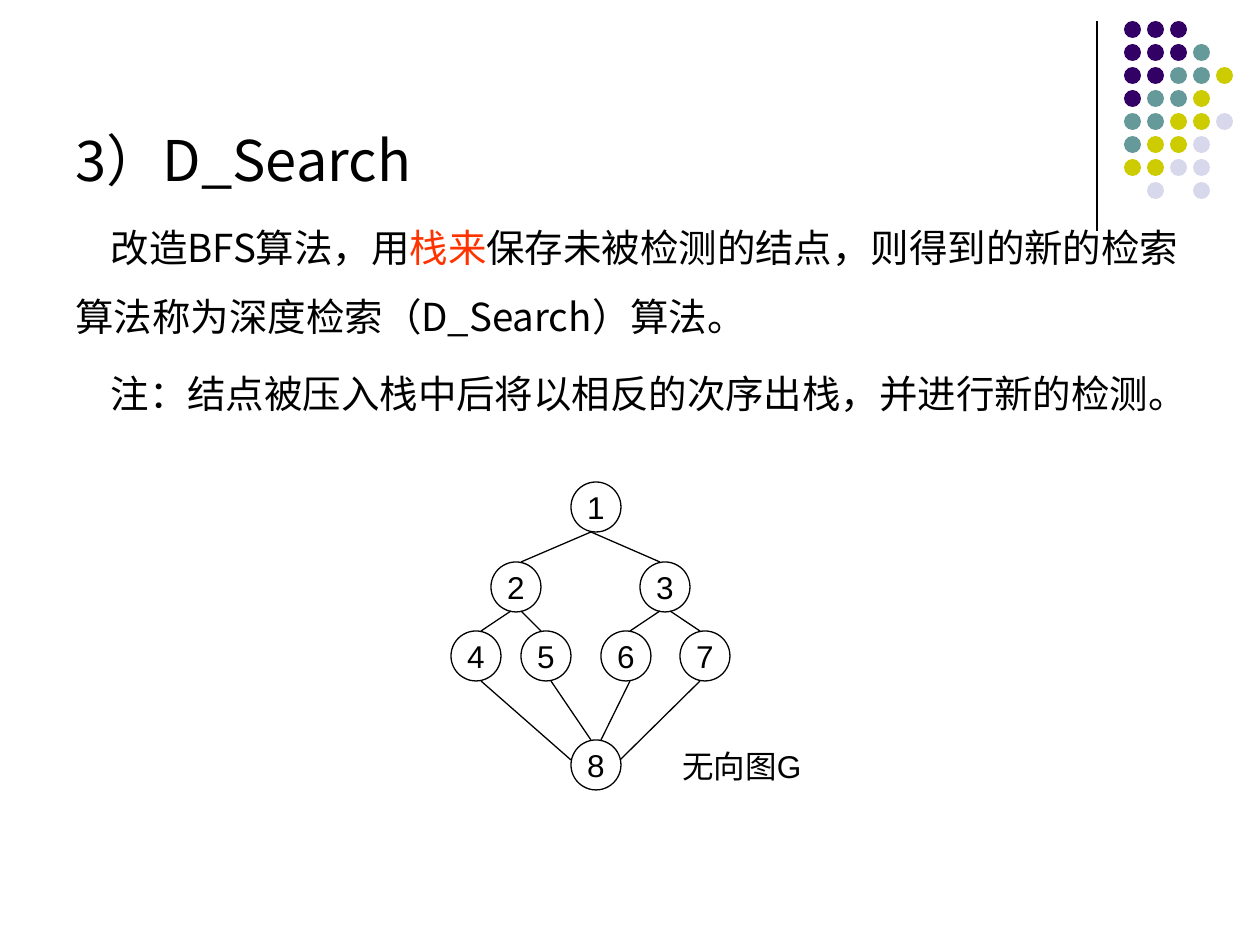
from pptx import Presentation
from pptx.dml.color import RGBColor
from pptx.enum.shapes import MSO_CONNECTOR, MSO_SHAPE
from pptx.enum.text import MSO_ANCHOR, MSO_AUTO_SIZE, PP_ALIGN
from pptx.oxml.ns import qn
from pptx.util import Emu, Pt
from lxml.etree import SubElement

COLORS = {
    "ink": "000000",
    "accent": "FF3300",
    "P": "330066",
    "T": "669999",
    "Y": "CCCC00",
    "L": "D8D8EC",
}
CJK_FONT = "Noto Sans CJK SC"
LATIN_FONT = "Arial"

DOT_ROWS = ["PPP", "PPPT", "PPTTY", "PTTY", "TTYYL", "TYYL", "YYLL", " L L"]
DOT_LEFT, DOT_TOP, DOT_PITCH, DOT_SIZE = 1124, 21, 23, 17

NODE_SIZE = 50
NODES = {
    "1": (571, 482),
    "2": (491, 562),
    "3": (640, 562),
    "4": (451, 631),
    "5": (521, 631),
    "6": (601, 631),
    "7": (680, 631),
    "8": (571, 740),
}
EDGES = [
    ((591, 532), (521, 562)),
    ((591, 532), (660, 562)),
    ((511, 611), (481, 631)),
    ((521, 611), (541, 631)),
    ((660, 611), (630, 631)),
    ((670, 611), (700, 631)),
    ((481, 681), (571, 760)),
    ((551, 681), (591, 740)),
    ((630, 681), (601, 740)),
    ((700, 681), (620, 760)),
]
BODY = [
    (32, 0, [("3）D_Search", "ink")]),
    (22, 35, [
        ("改造BFS算法，用", "ink"),
        ("栈来", "accent"),
        ("保存未被检测的结点，则得到的新的检索算法称为深度检索（D_Search）算法。", "ink"),
    ]),
    (22, 35, [("注：结点被压入栈中后将以相反的次序出栈，并进行新的检测。", "ink")]),
]


def px(length):
    return Emu(round(length * 914400 / 126))


def color(name):
    return RGBColor.from_string(COLORS[name])


class Painter:
    line_width = Pt(0.75)

    def __init__(self, page):
        self.page = page

    def span(self, para, text, size, font, tint="ink"):
        span = para.add_run()
        span.text = text
        span.font.size = Pt(size)
        span.font.name = font
        span.font.color.rgb = color(tint)
        east_asian = SubElement(span.font._element, qn("a:ea"))
        east_asian.set("typeface", CJK_FONT)
        span.font._element.find(qn("a:latin")).addnext(east_asian)

    def ellipse(self, left, top, size):
        shape = self.page.shapes.add_shape(
            MSO_SHAPE.OVAL, px(left), px(top), px(size), px(size))
        shape.shadow.inherit = False
        return shape

    def dot(self, left, top, tint):
        dot = self.ellipse(left, top, DOT_SIZE)
        dot.fill.solid()
        dot.fill.fore_color.rgb = color(tint)
        dot.line.fill.background()

    def node(self, left, top, text):
        node = self.ellipse(left, top, NODE_SIZE)
        node.fill.background()
        node.line.color.rgb = color("ink")
        node.line.width = self.line_width
        frame = node.text_frame
        frame.word_wrap = False
        frame.vertical_anchor = MSO_ANCHOR.MIDDLE
        para = frame.paragraphs[0]
        para.alignment = PP_ALIGN.CENTER
        self.span(para, text, 18, LATIN_FONT)

    def line(self, start, end):
        line = self.page.shapes.add_connector(
            MSO_CONNECTOR.STRAIGHT, *map(px, start + end))
        line.line.color.rgb = color("ink")
        line.line.width = self.line_width
        SubElement(line.element.spPr, qn("a:effectLst"))

    def label(self, left, top, width, height, text):
        box = self.page.shapes.add_textbox(px(left), px(top), px(width), px(height))
        box.text_frame.word_wrap = True
        box.text_frame.auto_size = MSO_AUTO_SIZE.SHAPE_TO_FIT_TEXT
        self.span(box.text_frame.paragraphs[0], text, 18, LATIN_FONT)

    def body(self, left, top, width, height, paragraphs):
        box = self.page.placeholders[1]
        box.left, box.top, box.width, box.height = map(px, (left, top, width, height))
        box.element.getparent().append(box.element)
        frame = box.text_frame
        frame.word_wrap = True
        frame.auto_size = MSO_AUTO_SIZE.NONE
        frame.vertical_anchor = MSO_ANCHOR.TOP
        for index, (size, indent, spans) in enumerate(paragraphs):
            para = frame.add_paragraph() if index else frame.paragraphs[0]
            properties = para._p.get_or_add_pPr()
            properties.set("marL", "0")
            properties.set("indent", str(px(indent)))
            SubElement(properties, qn("a:buNone"))
            para.alignment = PP_ALIGN.LEFT
            para.line_spacing = 1.5
            para.space_before = Pt(size * 0.2 if index else 0)
            for text, tint in spans:
                self.span(para, text, size, CJK_FONT, tint)


def main():
    deck = Presentation()
    deck.slide_width, deck.slide_height = px(1260), px(945)
    page = deck.slides.add_slide(deck.slide_layouts[1])
    title = page.shapes.title.element
    title.getparent().remove(title)
    painter = Painter(page)

    painter.line((1097, 21), (1097, 231))
    for row, tints in enumerate(DOT_ROWS):
        for column, tint in enumerate(tints):
            if tint != " ":
                painter.dot(DOT_LEFT + column * DOT_PITCH,
                            DOT_TOP + row * DOT_PITCH, tint)

    painter.body(63, 86, 1153, 760, BODY)
    for text, (left, top) in NODES.items():
        painter.node(left, top, text)
    for start, end in EDGES:
        painter.line(start, end)
    painter.label(670, 741, 169, 50, "无向图G")

    deck.save("out.pptx")


if __name__ == "__main__":
    main()
